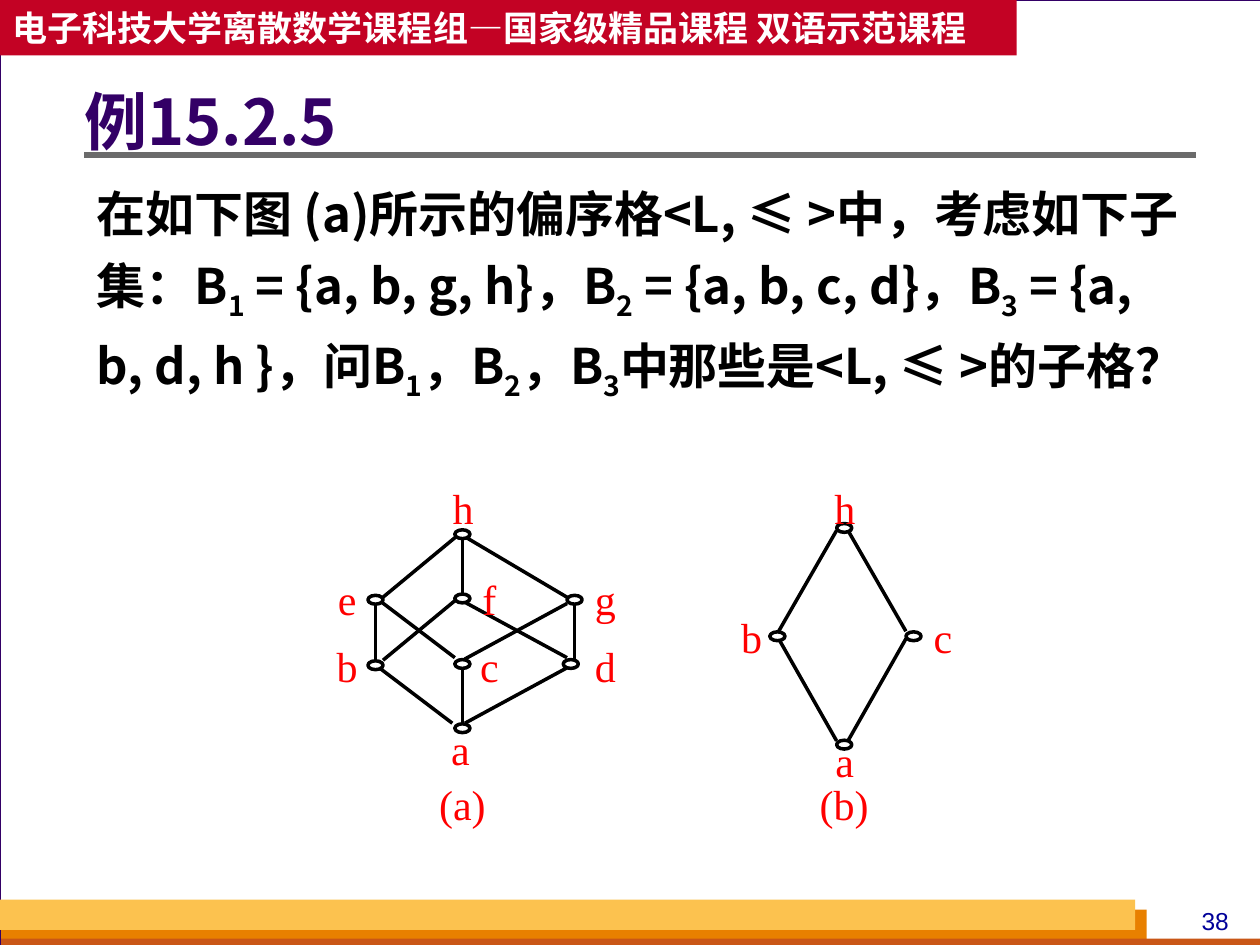
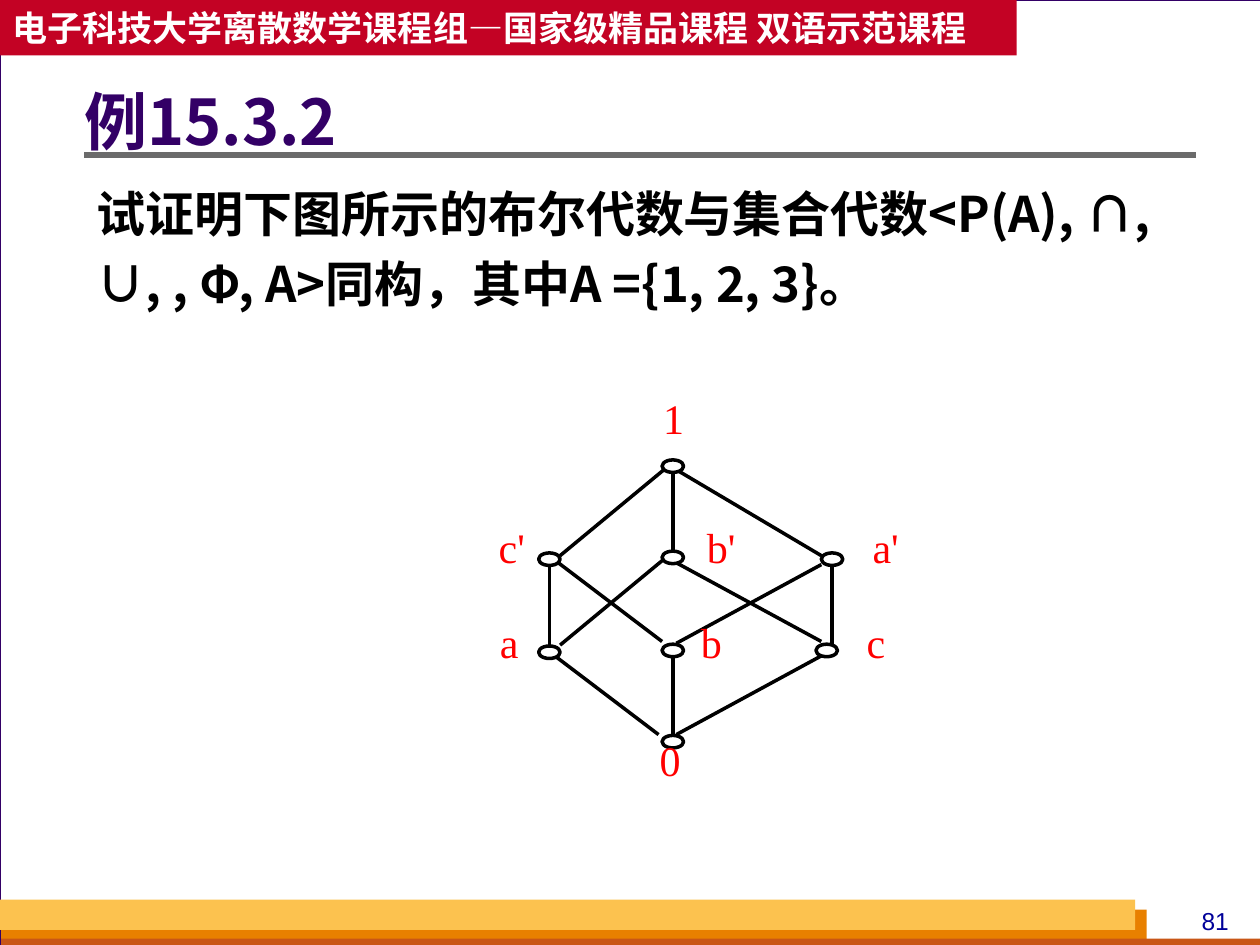
"""Build two lattice example slides with Hasse diagrams in a shared course style."""

from dataclasses import dataclass
from typing import Any, NamedTuple, Optional

import pptx
import pptx.dml.color
import pptx.enum.shapes
import pptx.enum.text
import pptx.oxml
import pptx.oxml.ns
import pptx.util
from pptx.util import Inches

COLOURS = {
    "backdrop": "D8DADA", "page": "FFFFFF", "purple": "330066", "orange": "E88000",
    "rust": "C95616", "yellow": "FCC24F", "red": "C30224", "rule": "6B6B6B",
    "number": "000099", "ink": "000000", "label": "FF0000",
}
CJK = "Noto Sans CJK SC"
ALIGN = pptx.enum.text.PP_ALIGN
ANCHOR = pptx.enum.text.MSO_ANCHOR
SHAPE = pptx.enum.shapes.MSO_SHAPE


class Box(NamedTuple):
    left: float
    top: float
    width: float
    height: float


class Point(NamedTuple):
    x: float
    y: float


class Edge(NamedTuple):
    start: Point
    end: Point


class LabelSpot(NamedTuple):
    left: float
    top: float
    wide_left: float


class Band(NamedTuple):
    box: Box
    colour: str
    outline: Optional[str] = None


@dataclass(frozen=True)
class TextStyle:
    font: str
    size: float
    colour: str
    bold: bool = False
    align: Any = ALIGN.LEFT
    line_spacing: float = 1.0
    anchor: Any = ANCHOR.TOP
    margins: tuple = (0.1, 0.05, 0.1, 0.05)


@dataclass(frozen=True)
class Lattice:
    nodes: tuple
    edges: tuple
    spots: tuple


@dataclass(frozen=True)
class Diagram:
    lattice: Lattice
    top_node: Point
    labels: tuple
    scale: float = 1.0
    caption: Optional[str] = None


@dataclass(frozen=True)
class Example:
    title: str
    number: str
    question: str
    question_height: float
    diagrams: tuple


TITLE = TextStyle(CJK, 36, "purple", True, line_spacing=0.9,
                  anchor=ANCHOR.MIDDLE, margins=(0, 0.05, 0.1, 0.05))
QUESTION = TextStyle(CJK, 28, "ink", True, line_spacing=1.2)
BANNER = TextStyle(CJK, 20, "page", True, anchor=ANCHOR.MIDDLE)
NUMBER = TextStyle("Arial", 14, "number", align=ALIGN.CENTER)
LABEL = TextStyle("Times New Roman", 24, "label", align=ALIGN.CENTER, margins=(0, 0, 0, 0))

BANDS = (
    Band(Box(0, 0, 10.01, 7.5), "page", "purple"),
    Band(Box(0.01, 7.22, 9.09, 0.28), "orange"),
    Band(Box(0.01, 7.45, 10, 0.08), "rust"),
    Band(Box(0, 7.14, 9.01, 0.24), "yellow"),
)
BANNER_BOX = Box(0, 0, 8.07, 0.44)
BANNER_TEXT = "电子科技大学离散数学课程组—国家级精品课程 双语示范课程"
TITLE_BOX = Box(0.67, 0.52, 8.82, 0.95)
NUMBER_BOX = Box(9.33, 7.14, 0.63, 0.34)
RULE = Edge(Point(0.67, 1.23), Point(9.49, 1.23))
NODE_SIZE = Point(0.12, 0.07)
LABEL_SIZE = Point(0.23, 0.37)
WIDE_LABEL = 0.34
CAPTION_SIZE = Point(0.58, 0.37)
CAPTION_TOP = 6.18


def make_edges(*ends: tuple) -> tuple:
    """Turn rows of x1, y1, x2, y2 into edges."""
    return tuple(Edge(Point(*row[:2]), Point(*row[2:])) for row in ends)


CUBE = Lattice(
    nodes=(Point(0, 0), Point(-0.69, 0.52), Point(0, 0.51), Point(0.89, 0.52),
           Point(-0.69, 1.04), Point(0, 1.03), Point(0.86, 1.03), Point(0, 1.54)),
    edges=make_edges(
        (-0.05, 0.02, -0.63, 0.5), (0, 0.04, 0, 0.47), (0.02, 0.02, 0.83, 0.5),
        (-0.69, 0.55, -0.69, 1), (-0.64, 0.54, -0.06, 0.98),
        (-0.05, 0.52, -0.63, 1), (0.02, 0.54, 0.83, 0.98),
        (0.83, 0.55, 0.02, 0.99), (0.89, 0.55, 0.89, 1),
        (-0.66, 1.06, -0.08, 1.5), (0, 1.06, 0, 1.5), (0.83, 1.06, 0.02, 1.5)),
    spots=(LabelSpot(-0.11, -0.41, -0.11), LabelSpot(-1.03, 0.31, -1.07),
           LabelSpot(0.1, 0.31, 0.1), LabelSpot(1.02, 0.31, 1.02),
           LabelSpot(-1.03, 0.84, -1.07), LabelSpot(0.1, 0.84, 0.1),
           LabelSpot(1.02, 0.84, 1.02), LabelSpot(-0.13, 1.5, -0.13)),
)
DIAMOND = Lattice(
    nodes=(Point(0, 0), Point(-0.53, 0.86), Point(0.55, 0.86), Point(0, 1.72)),
    edges=make_edges((-0.06, 0.02, -0.52, 0.82), (0.03, 0.02, 0.49, 0.82),
                     (-0.52, 0.88, -0.06, 1.69), (0.49, 0.88, 0.03, 1.69)),
    spots=(LabelSpot(-0.11, -0.36, -0.11), LabelSpot(-0.85, 0.66, -0.85),
           LabelSpot(0.67, 0.66, 0.67), LabelSpot(-0.11, 1.65, -0.11)),
)

EXAMPLES = (
    Example(
        "例15.2.5", "38",
        "在如下图 (a)所示的偏序格<L, ≤ >中，考虑如下子集：B_1 = {a, b, g, h}，"
        "B_2 = {a, b, c, d}，B_3 = {a, b, d, h }，问B_1，B_2，B_3中那些是<L, ≤ >的子格？",
        2.68,
        (Diagram(CUBE, Point(3.67, 4.24), ("h", "e", "f", "g", "b", "c", "d", "a"),
                 caption="(a)"),
         Diagram(DIAMOND, Point(6.7, 4.19), ("h", "b", "c", "a"), caption="(b)")),
    ),
    Example(
        "例15.3.2", "81",
        "试证明下图所示的布尔代数与集合代数<P(A), ∩, ∪, , Φ, A>同构，其中A ={1, 2, 3}。",
        1.89,
        (Diagram(CUBE, Point(5.34, 3.7), ("1", "c'", "b'", "a'", "a", "b", "c", "0"),
                 scale=1.42),),
    ),
)


def rgb(colour: str) -> pptx.dml.color.RGBColor:
    """Return the named colour."""
    return pptx.dml.color.RGBColor.from_string(COLOURS[colour])


def set_values(target: Any, values: dict) -> None:
    """Set every attribute in values on target."""
    for name, value in values.items():
        setattr(target, name, value)


def write_text(shape: Any, text: str, style: TextStyle) -> None:
    """Write one styled paragraph, where an underscore lowers the next character."""
    frame = shape.text_frame
    set_values(frame, {
        "word_wrap": True,
        "auto_size": pptx.enum.text.MSO_AUTO_SIZE.NONE,
        "vertical_anchor": style.anchor,
        **{f"margin_{side}": Inches(margin) for side, margin
           in zip(("left", "top", "right", "bottom"), style.margins)},
    })
    paragraph = frame.paragraphs[0]
    set_values(paragraph, {"alignment": style.align, "line_spacing": style.line_spacing,
                           "space_before": pptx.util.Pt(0)})
    first, *pieces = text.split("_")
    parts = [(first, False)]
    for piece in pieces:
        parts += [(piece[0], True), (piece[1:], False)]
    for words, lowered in parts:
        run = paragraph.add_run()
        run.text = words
        set_values(run.font, {"name": style.font, "size": pptx.util.Pt(style.size),
                              "bold": style.bold})
        run.font.color.rgb = rgb(style.colour)
        properties = run._r.get_or_add_rPr()
        east_asian = pptx.oxml.ns.qn("a:ea")
        properties.find(pptx.oxml.ns.qn("a:latin")).addnext(
            properties.makeelement(east_asian, {"typeface": style.font}))
        if lowered:
            properties.set("baseline", "-25000")


def add_filled(slide: Any, kind: Any, box: Box, colour: str,
               outline: Optional[str] = None, weight: float = 0.75) -> Any:
    """Add a flat preset shape with an optional outline."""
    shape = slide.shapes.add_shape(kind, *map(Inches, box))
    shape.shadow.inherit = False
    shape.fill.solid()
    shape.fill.fore_color.rgb = rgb(colour)
    if outline:
        shape.line.color.rgb = rgb(outline)
        shape.line.width = pptx.util.Pt(weight)
    else:
        shape.line.fill.background()
    return shape


def add_text(slide: Any, box: Box, text: str, style: TextStyle) -> None:
    """Add a text box."""
    write_text(slide.shapes.add_textbox(*map(Inches, box)), text, style)


def add_line(slide: Any, edge: Edge, colour: str, weight: float) -> None:
    """Add a straight line without shadow."""
    line = slide.shapes.add_connector(pptx.enum.shapes.MSO_CONNECTOR.STRAIGHT,
                                      *map(Inches, (*edge.start, *edge.end)))
    line.line.color.rgb = rgb(colour)
    line.line.width = pptx.util.Pt(weight)
    line._element.spPr.append(pptx.oxml.parse_xml(
        f"<a:effectLst {pptx.oxml.ns.nsdecls('a')}/>"))


def draw_diagram(slide: Any, diagram: Diagram) -> None:
    """Draw the edges, nodes, labels and caption of a Hasse diagram."""
    scale, origin = diagram.scale, diagram.top_node

    def place(x: float, y: float) -> Point:
        """Map lattice units to slide inches."""
        return Point(origin.x + scale * x, origin.y + scale * y)

    for edge in diagram.lattice.edges:
        add_line(slide, Edge(place(*edge.start), place(*edge.end)), "ink", 2)
    width, height = (scale * side for side in NODE_SIZE)
    for node in diagram.lattice.nodes:
        centre = place(*node)
        box = Box(centre.x - width / 2, centre.y - height / 2, width, height)
        add_filled(slide, SHAPE.OVAL, box, "page", "ink", 2)
    for text, spot in zip(diagram.labels, diagram.lattice.spots):
        wide = len(text) > 1
        corner = place(spot.wide_left if wide else spot.left, spot.top)
        label_width = WIDE_LABEL if wide else LABEL_SIZE.x
        add_text(slide, Box(*corner, scale * label_width, scale * LABEL_SIZE.y), text, LABEL)
    if diagram.caption:
        box = Box(origin.x - CAPTION_SIZE.x / 2, CAPTION_TOP, *CAPTION_SIZE)
        write_text(add_filled(slide, SHAPE.RECTANGLE, box, "page"), diagram.caption, LABEL)


def draw_frame(slide: Any, number: str) -> None:
    """Draw the page, bands, banner, title rule and slide number."""
    slide.background.fill.solid()
    slide.background.fill.fore_color.rgb = rgb("backdrop")
    for band in BANDS:
        add_filled(slide, SHAPE.RECTANGLE, *band)
    add_text(slide, NUMBER_BOX, number, NUMBER)
    add_line(slide, RULE, "rule", 3)
    write_text(add_filled(slide, SHAPE.RECTANGLE, BANNER_BOX, "red"), BANNER_TEXT, BANNER)


def add_example(presentation: Any, example: Example) -> None:
    """Add one example slide."""
    slide = presentation.slides.add_slide(presentation.slide_layouts[5])
    draw_frame(slide, example.number)
    title = slide.shapes.title
    set_values(title, dict(zip(Box._fields, map(Inches, TITLE_BOX))))
    write_text(title, example.title, TITLE)
    slide.shapes._spTree.append(title._element)
    add_text(slide, Box(0.67, 1.31, 8.82, example.question_height), example.question, QUESTION)
    for diagram in example.diagrams:
        draw_diagram(slide, diagram)


def main() -> None:
    """Build and save the presentation."""
    presentation = pptx.Presentation()
    set_values(presentation, {"slide_width": Inches(10), "slide_height": Inches(7.5)})
    for example in EXAMPLES:
        add_example(presentation, example)
    presentation.save("out.pptx")


if __name__ == "__main__":
    main()
